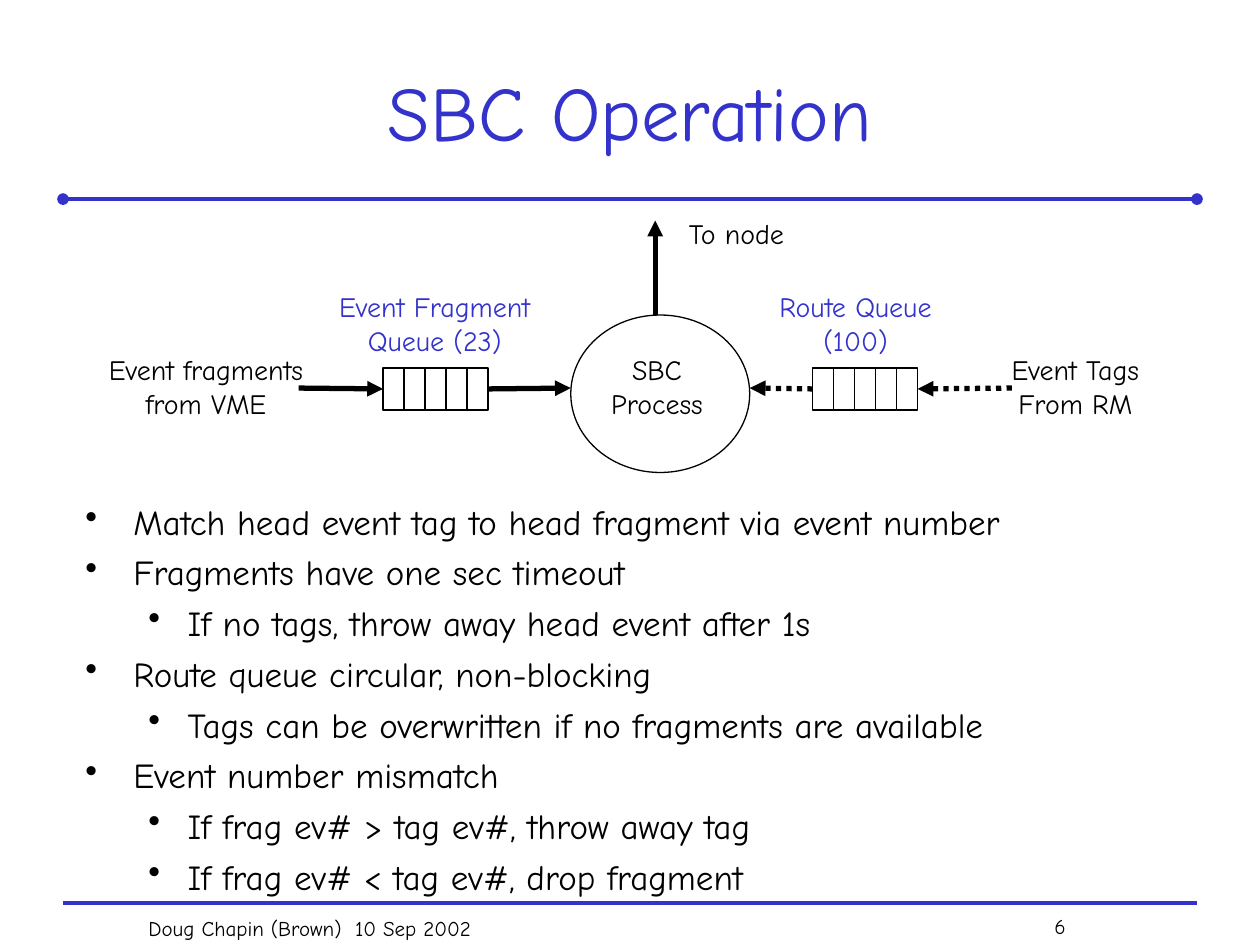
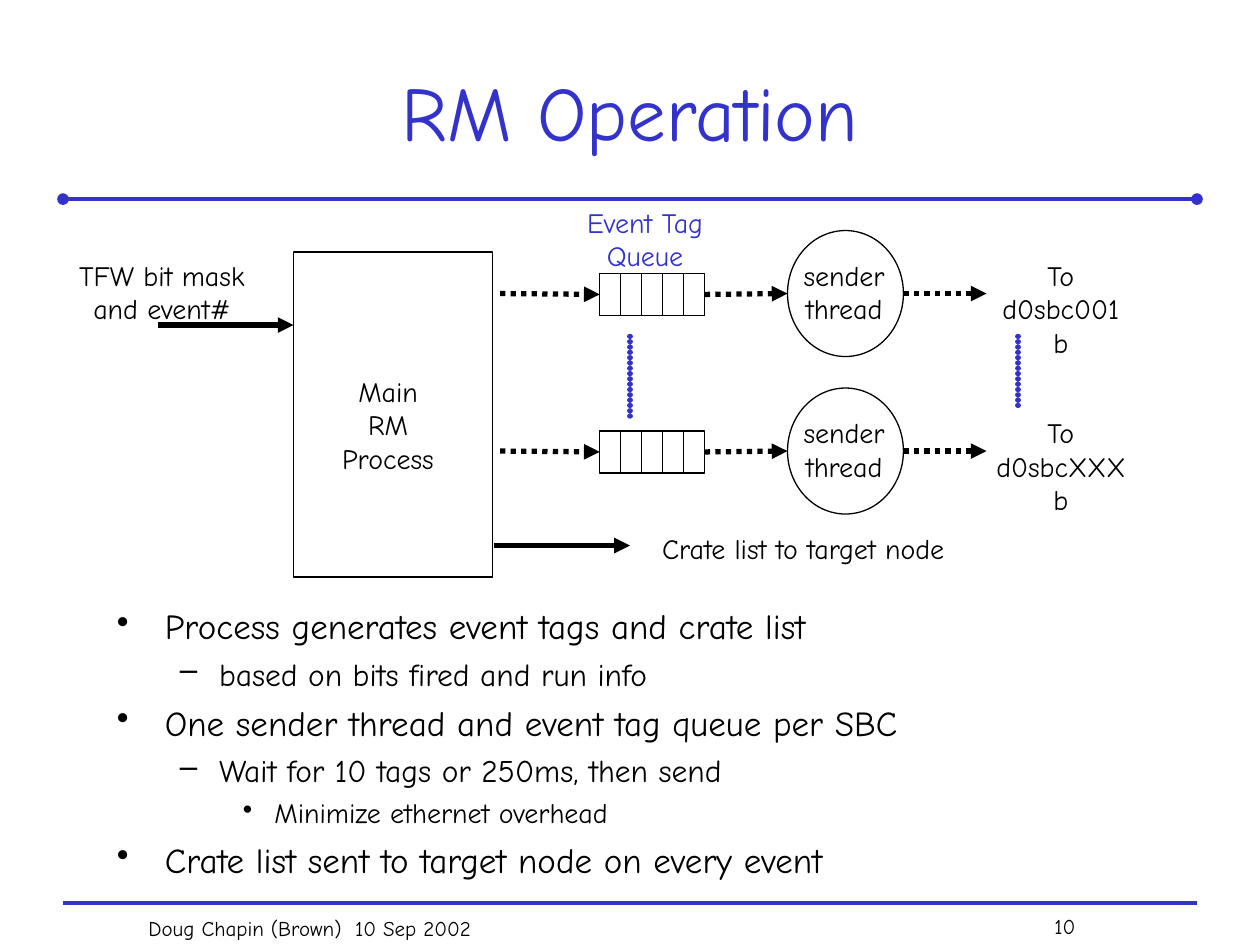
from lxml import etree
from pptx import Presentation
from pptx.dml.color import RGBColor
from pptx.enum.dml import MSO_LINE
from pptx.enum.shapes import MSO_CONNECTOR, MSO_SHAPE
from pptx.enum.text import MSO_ANCHOR, PP_ALIGN
from pptx.oxml.ns import qn
from pptx.util import Inches, Pt

RECT, OVAL = MSO_SHAPE.RECTANGLE, MSO_SHAPE.OVAL
STRAIGHT = MSO_CONNECTOR.STRAIGHT
DOTTED = MSO_LINE.ROUND_DOT
LEFT, CENTER = PP_ALIGN.LEFT, PP_ALIGN.CENTER
TOP, MIDDLE = MSO_ANCHOR.TOP, MSO_ANCHOR.MIDDLE
BLACK = RGBColor(0x00, 0x00, 0x00)
BLUE = RGBColor(0x33, 0x33, 0xCC)
FONT = "Comic Neue"
LEFT_SIDE, RIGHT_SIDE = 1, 3
CELL_W, CELL_H, CELLS = 1 / 6, 1 / 3, 5

# Per level: bullet, left margin, hanging indent, size, space before
SBC_LEVELS = [("•", 0.38, 0.38, 20, 5), ("•", 0.81, 0.31, 20, 5)]
RM_LEVELS = [("•", 0.38, 0.38, 20, 5), ("–", 0.81, 0.31, 18, 4.5),
             ("•", 1.25, 0.25, 16, 4)]


def write(slide, area, text, size=16, color=BLACK, align=CENTER, anchor=TOP,
          wrap=False, levels=None):
    """Add a text box; with levels, leading tabs give each line's bullet level."""
    box = slide.shapes.add_textbox(*map(Inches, area))
    frame = box.text_frame
    frame.word_wrap = wrap
    frame.vertical_anchor = anchor
    for number, line in enumerate(text.split("\n")):
        paragraph = frame.add_paragraph() if number else frame.paragraphs[0]
        paragraph.alignment = align
        if levels:
            depth = len(line) - len(line.lstrip("\t"))
            line = line.lstrip("\t")
            bullet, margin, hang, size, before = levels[depth]
            paragraph.level = depth
            if number:
                paragraph.space_before = Pt(before)
            props = paragraph._p.get_or_add_pPr()
            props.set("marL", str(Inches(margin)))
            props.set("indent", str(-Inches(hang)))
            etree.SubElement(props, qn("a:buChar"), char=bullet)
        run = paragraph.add_run()
        run.text = line
        run.font.name = FONT
        run.font.size = Pt(size)
        run.font.color.rgb = color
    return box


def draw_line(slide, start, end, color=BLACK, width=3, dash=None, head=None, tail=None):
    line = slide.shapes.add_connector(STRAIGHT, *map(Inches, (*start, *end)))
    line.line.color.rgb = color
    line.line.width = Pt(width)
    if dash:
        line.line.dash_style = dash
    outline = line.line._get_or_add_ln()
    for tag, ending in (("a:headEnd", head), ("a:tailEnd", tail)):
        if ending:
            etree.SubElement(outline, qn(tag), type=ending)
    etree.SubElement(line._element.spPr, qn("a:effectLst"))
    return line


prs = Presentation()
prs.slide_width, prs.slide_height = Inches(10), Inches(7.5)

# Title, rules and footer shared by both slides
slides = []
for title, page in (("SBC Operation", "6"), ("RM Operation", "10")):
    slide = prs.slides.add_slide(prs.slide_layouts[6])
    slides.append(slide)
    write(slide, (8.27, 7.2, 0.93, 0.3), page, size=12, align=LEFT, wrap=True)
    footer = write(slide, (1.08, 7.22, 4.33, 0.28), "Doug Chapin (Brown)\t10 Sep 2002",
                   size=12, align=LEFT, wrap=True)
    footer_props = footer.text_frame.paragraphs[0]._p.get_or_add_pPr()
    tabs = etree.SubElement(footer_props, qn("a:tabLst"))
    etree.SubElement(tabs, qn("a:tab"), pos=str(Inches(1.64)), algn="l")
    draw_line(slide, (0.5, 1.58), (9.5, 1.58), BLUE, 2.25, head="oval", tail="oval")
    draw_line(slide, (0.5, 7.17), (9.5, 7.17), BLUE, 2.25)
    write(slide, (0.75, 0.25, 8.5, 1.25), title, size=44, color=BLUE,
          anchor=MIDDLE, wrap=True)
sbc, rm = slides

# Outlined shapes: processes, sender threads and the cells of each queue
outlines = [
    (sbc, OVAL, 4.53, 2.5, 1.42, 1.25),
    (rm, RECT, 2.33, 2, 1.58, 2.58),
    (rm, OVAL, 6.25, 1.83, 0.92, 1),
    (rm, OVAL, 6.25, 3.08, 0.92, 1),
]
queues = [(sbc, 3.04, 2.92), (sbc, 6.45, 2.92), (rm, 4.76, 2.17), (rm, 4.76, 3.42)]
for slide, left, top in queues:
    outlines += [(slide, RECT, left + i * CELL_W, top, CELL_W, CELL_H)
                 for i in range(CELLS)]
drawn = []
for slide, kind, *area in outlines:
    shape = slide.shapes.add_shape(kind, *map(Inches, area))
    shape.shadow.inherit = False
    shape.fill.background()
    shape.line.color.rgb = BLACK
    shape.line.width = Pt(0.75)
    drawn.append(shape)
cells = drawn[-len(queues) * CELLS:]
fragment_queue, route_queue, *tag_queues = [
    cells[i:i + CELLS] for i in range(0, len(cells), CELLS)]

# SBC: fragments and tags flow into the process from both sides
flow_y = 3.08
arrow = draw_line(sbc, (2.37, flow_y), (3.03, flow_y), tail="triangle")
arrow.end_connect(fragment_queue[0], LEFT_SIDE)
arrow = draw_line(sbc, (3.87, flow_y), (4.53, flow_y), tail="triangle")
arrow.begin_connect(fragment_queue[-1], RIGHT_SIDE)
arrow = draw_line(sbc, (6.45, flow_y), (5.95, flow_y), dash=DOTTED, tail="triangle")
arrow.begin_connect(route_queue[0], LEFT_SIDE)
arrow = draw_line(sbc, (8.03, flow_y), (7.28, flow_y), dash=DOTTED, tail="triangle")
arrow.end_connect(route_queue[-1], RIGHT_SIDE)
draw_line(sbc, (5.2, 2.5), (5.2, 1.75), tail="triangle")

# RM: one row per sender thread
for queue, flow_y in zip(tag_queues, (2.33, 3.58)):
    arrow = draw_line(rm, (3.97, flow_y), (4.75, flow_y), dash=DOTTED, tail="triangle")
    arrow.end_connect(queue[0], LEFT_SIDE)
    arrow = draw_line(rm, (5.58, flow_y), (6.25, flow_y), dash=DOTTED, tail="triangle")
    arrow.begin_connect(queue[-1], RIGHT_SIDE)
    draw_line(rm, (7.17, flow_y), (7.83, flow_y), dash=DOTTED, tail="triangle")
    write(rm, (6.28, flow_y - 0.33, 0.84, 0.64), "sender\nthread")
draw_line(rm, (1.25, 2.58), (2.33, 2.58), tail="triangle")
draw_line(rm, (3.92, 4.33), (5, 4.33), tail="triangle")

# RM: round dots stand for the rows left out
for x, bottom in ((5, 3.33), (8.08, 3.25)):
    ellipsis = draw_line(rm, (x, 2.67), (x, bottom), BLUE)
    outline = ellipsis.line._get_or_add_ln()
    outline.set("cap", "rnd")
    dashes = etree.SubElement(outline, qn("a:custDash"))
    etree.SubElement(dashes, qn("a:ds"), d="100000", sp="1000")

labels = [
    (sbc, (2.59, 2.25, 1.72, 0.64), "Event Fragment\nQueue (23)", BLUE),
    (sbc, (5.78, 2.25, 2.02, 0.64), "Route Queue\n(100)", BLUE),
    (sbc, (0.76, 2.75, 1.75, 0.64), "Event fragments\nfrom VME", BLACK),
    (sbc, (4.75, 2.75, 0.93, 0.64), "SBC\nProcess", BLACK),
    (sbc, (7.92, 2.75, 1.23, 0.64), "Event Tags\nFrom RM", BLACK),
    (sbc, (5.36, 1.67, 0.97, 0.37), "To node", BLACK),
    (rm, (7.8, 2, 1.24, 0.64), "To\nd0sbc001b", BLACK),
    (rm, (7.75, 3.25, 1.34, 0.64), "To\nd0sbcXXXb", BLACK),
    (rm, (4.55, 1.58, 1.14, 0.64), "Event Tag\nQueue", BLUE),
    (rm, (2.55, 2.92, 1.06, 0.64), "Main RM\nProcess", BLACK),
    (rm, (0.53, 2, 1.51, 0.64), "TFW bit mask\nand event#", BLACK),
    (rm, (5.14, 4.17, 2.47, 0.37), "Crate list to target node", BLACK),
]
for slide, area, text, color in labels:
    write(slide, area, text, color=color)

sbc_points = """Match head event tag to head fragment via event number
Fragments have one sec timeout
\tIf no tags, throw away head event after 1s
Route queue circular, non-blocking
\tTags can be overwritten if no fragments are available
Event number mismatch
\tIf frag ev# > tag ev#, throw away tag
\tIf frag ev# < tag ev#, drop fragment"""
rm_points = """Process generates event tags and crate list
\tbased on bits fired and run info
One sender thread and event tag queue per SBC
\tWait for 10 tags or 250ms, then send
\t\tMinimize ethernet overhead
Crate list sent to target node on every event"""
write(sbc, (0.58, 3.92, 8.75, 3.17), sbc_points, align=LEFT, wrap=True, levels=SBC_LEVELS)
write(rm, (0.83, 4.75, 8.58, 2.42), rm_points, align=LEFT, wrap=True, levels=RM_LEVELS)

prs.save("out.pptx")
